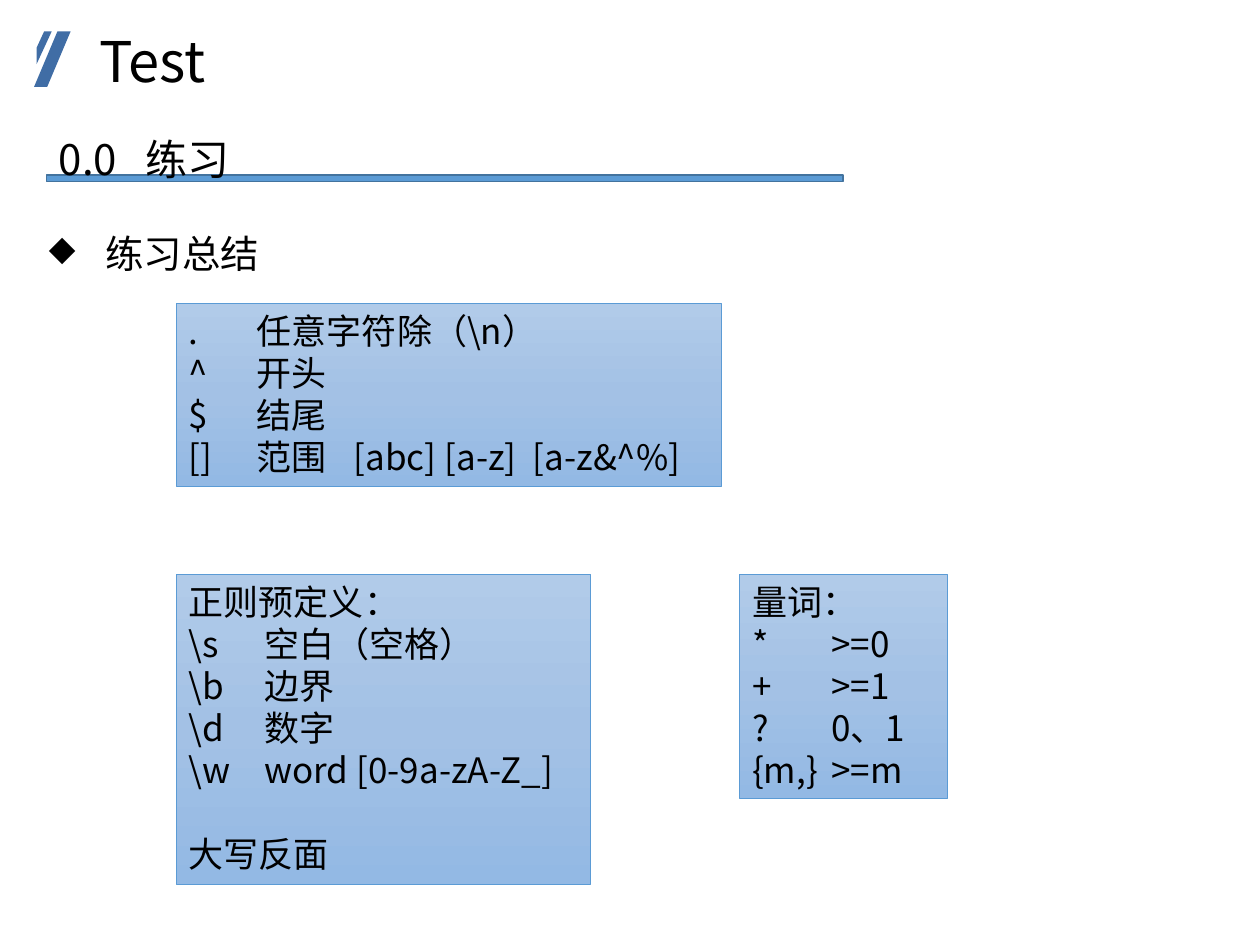
from copy import deepcopy
from lxml.etree import SubElement
from pptx import Presentation
from pptx.dml.color import RGBColor
from pptx.enum.shapes import MSO_SHAPE as SHAPE
from pptx.enum.text import MSO_ANCHOR as ANCHOR, PP_ALIGN as ALIGN
from pptx.oxml.ns import qn
from pptx.util import Inches, Pt

FONT = "Noto Sans CJK SC"
BLACK = RGBColor(0x00, 0x00, 0x00)
MARK = RGBColor(0x40, 0x6D, 0xA5)
BLUE = RGBColor(0x5B, 0x9B, 0xD5)
DARK_BLUE = RGBColor(0x43, 0x73, 0x9E)
GRADIENT = [
    (0, RGBColor(0xB1, 0xCB, 0xE9)),
    (0.5, RGBColor(0xA3, 0xC1, 0xE5)),
    (1, RGBColor(0x93, 0xB9, 0xE4)),
]

WIDTH, HEIGHT = Inches(10), Inches(7.5)
COLS, ROWS = 100, 75
BOX_LEFT, LOWER_TOP = 14, 45.6

SYMBOLS = [
    ".\t任意字符除（\\n）\n^\t开头",
    "$\t结尾",
    "[]\t范围\t[abc] [a-z]\t[a-z&^%]",
]
CLASSES = [
    "正则预定义：",
    "\\s\t空白（空格）",
    "\\b\t边界",
    "\\d\t数字",
    "\\w\tword [0-9a-zA-Z_]",
    "大写反面",
]
QUANTIFIERS = ["量词：", "*\t>=0", "+\t>=1", "?\t0、1", "{m,}\t>=m"]


def grid(col, row, cols, rows):
    dx, dy = WIDTH / COLS, HEIGHT / ROWS
    return [round(v) for v in (col * dx, row * dy, cols * dx, rows * dy)]


def add_bullet(p, char, indent):
    pPr = p._p.get_or_add_pPr()
    pPr.set("marL", str(Inches(indent)))
    pPr.set("indent", str(-Inches(indent)))
    SubElement(pPr, qn("a:buSzPct"), val="90000")
    SubElement(pPr, qn("a:buChar"), char=char)


def add_tabs(p, tabs):
    tab_list = SubElement(p._p.get_or_add_pPr(), qn("a:tabLst"))
    for tab in tabs:
        SubElement(tab_list, qn("a:tab"), pos=str(Inches(tab)), algn="l")


def write(tf, lines, size=20, spacing=None, after=None, anchor=ANCHOR.TOP,
          bullet=None, tabs=()):
    tf.word_wrap = True
    tf.vertical_anchor = anchor
    for i, line in enumerate(lines):
        p = tf.paragraphs[0] if i == 0 else tf.add_paragraph()
        p.text = line
        p.alignment = ALIGN.LEFT
        p.line_spacing = spacing
        p.space_after = after
        if bullet:
            add_bullet(p, bullet, 0.38)
        if tabs:
            add_tabs(p, tabs)
        for r in p.runs:
            r.font.size = Pt(size)
            r.font.name = FONT
            r.font.color.rgb = BLACK
            SubElement(r._r.get_or_add_rPr(), qn("a:ea"), typeface=FONT)


def add_text(slide, place, text, **fmt):
    tf = slide.shapes.add_textbox(*grid(*place)).text_frame
    write(tf, [text], **fmt)


def add_shape(slide, kind, place, fill=None, line=None, weight=1):
    sp = slide.shapes.add_shape(kind, *grid(*place))
    sp.shadow.inherit = False
    if fill is not None:
        sp.fill.solid()
        sp.fill.fore_color.rgb = fill
    if line is None:
        sp.line.fill.background()
    else:
        sp.line.color.rgb = line
        sp.line.width = Pt(weight)
    return sp


def add_box(slide, place, lines, tabs):
    sp = add_shape(slide, SHAPE.RECTANGLE, place, line=BLUE, weight=0.5)
    sp.fill.gradient()
    sp.fill.gradient_angle = 270
    stops = sp._element.spPr.find(".//" + qn("a:gsLst"))
    stops.insert(1, deepcopy(stops[0]))
    for stop, (position, color) in zip(sp.fill.gradient_stops, GRADIENT):
        stop.position = position
        stop.color.rgb = color
    write(sp.text_frame, lines, tabs=tabs)
    return sp


def main():
    prs = Presentation()
    prs.slide_width, prs.slide_height = WIDTH, HEIGHT
    slide = prs.slides.add_slide(prs.slide_layouts[6])

    slash = add_shape(slide, SHAPE.PARALLELOGRAM, (2.7, 2.5, 2.9, 4.4), MARK)
    slash.adjustments[0] = 0.64
    add_shape(slide, SHAPE.DIAGONAL_STRIPE, (2.9, 2.5, 1.2, 2.6), MARK)
    add_text(slide, (6.9, 2.1, 75, 5.9), "Test", size=32, spacing=0.9,
             anchor=ANCHOR.BOTTOM)

    add_shape(slide, SHAPE.RECTANGLE, (3.7, 13.9, 63.2, 0.5), BLUE, DARK_BLUE)
    add_text(slide, (3.7, 8.1, 54.4, 6.4), "0.0\t练习", size=24, spacing=1.5,
             tabs=[0.69])
    add_text(slide, (2.9, 15.9, 93.1, 17.7), " 练习总结", size=22, spacing=1.5,
             after=Pt(6), bullet="◆")

    add_box(slide, (BOX_LEFT, 24.1, 43.3, 14.5), SYMBOLS, [0.54, 1.31, 2.73])
    classes = add_box(slide, (BOX_LEFT, LOWER_TOP, 32.9, 24.6), CLASSES, [0.6])
    classes.text_frame.paragraphs[-1].space_before = Pt(24)
    add_box(slide, (58.7, LOWER_TOP, 16.5, 17.8), QUANTIFIERS, [0.63])

    prs.save("out.pptx")


if __name__ == "__main__":
    main()
